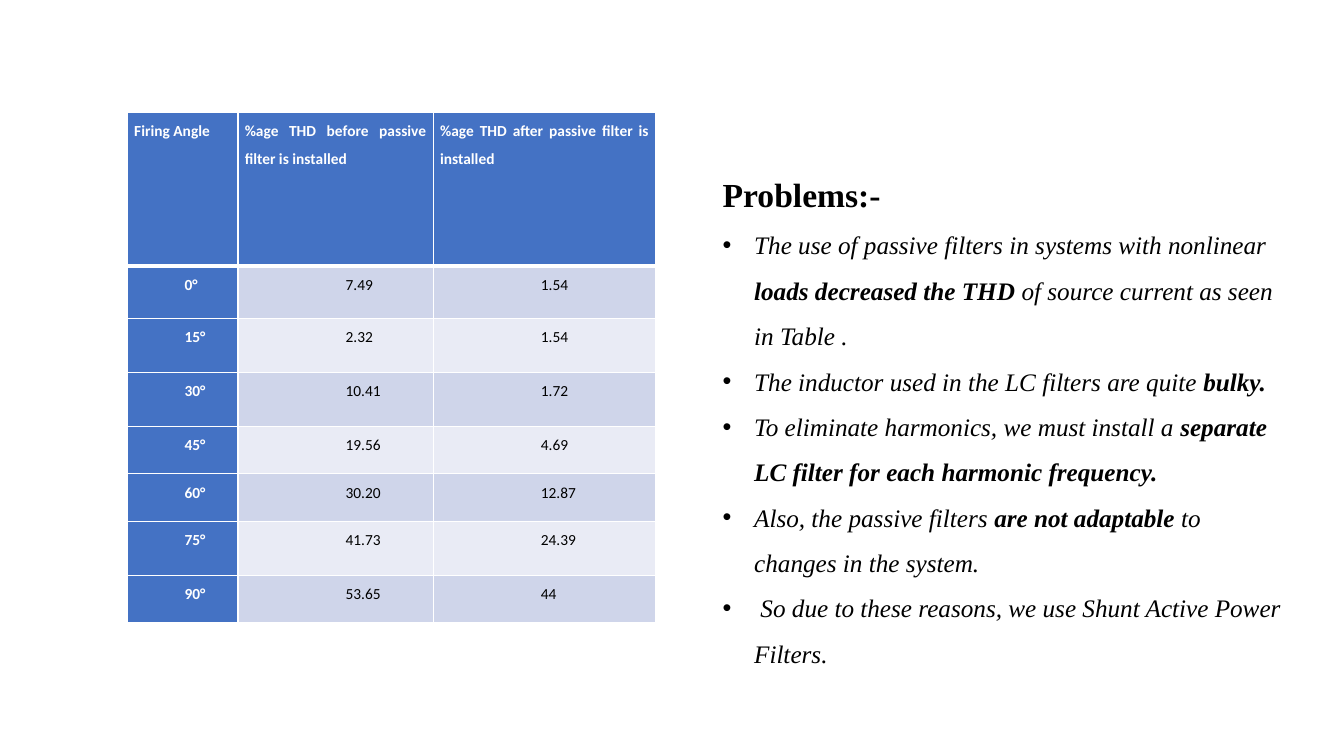
import pptx
import pptx.dml.color
import pptx.enum.text
import pptx.oxml
import pptx.oxml.ns
import pptx.util

Pt = pptx.util.Pt
RGBColor = pptx.dml.color.RGBColor
PP_ALIGN = pptx.enum.text.PP_ALIGN

WHITE = RGBColor(0xFF, 0xFF, 0xFF)
BLACK = RGBColor(0, 0, 0)
BLUE = RGBColor(0x44, 0x72, 0xC4)
BANDS = (RGBColor(0xCF, 0xD5, 0xEA), RGBColor(0xE9, 0xEB, 0xF5))

COLUMN_WIDTHS = (79, 139.5, 159)
ROW_HEIGHTS = (110, 37.5, 38.5, 38.5, 34, 34, 38.5, 34)
THD_ROWS = (
    ("Firing Angle", "%age THD before passive filter is installed",
     "%age THD after passive filter is installed"),
    ("0°", "7.49", "1.54"),
    ("15°", "2.32", "1.54"),
    ("30°", "10.41", "1.72"),
    ("45°", "19.56", "4.69"),
    ("60°", "30.20", "12.87"),
    ("75°", "41.73", "24.39"),
    ("90°", "53.65", "44"),
)
PROBLEMS = (
    (("The use of passive filters in systems with nonlinear ", False),
     ("loads decreased the THD ", True),
     ("of source current as seen in Table .", False)),
    (("The inductor used in the LC filters are quite ", False),
     ("bulky.", True)),
    (("To eliminate harmonics, we must install a ", False),
     ("separate LC filter for each harmonic frequency.", True)),
    (("Also, the passive filters ", False),
     ("are not adaptable", True),
     (" to changes in the system.", False)),
    ((" So due to these reasons, we use Shunt Active Power Filters.", False),),
)


def add_run(paragraph, text, font_name, size, color, bold, italic=False):
    run = paragraph.add_run()
    run.text = text
    run.font.name = font_name
    run.font.size = Pt(size)
    run.font.color.rgb = color
    run.font.bold = bold
    run.font.italic = italic


def set_indent(paragraph, left, first=0):
    properties = paragraph._p.get_or_add_pPr()
    properties.set("marL", str(Pt(left)))
    properties.set("indent", str(Pt(first)))
    return properties


def set_bullet(properties, symbol=None):
    tag = f'a:buChar char="{symbol}"' if symbol else "a:buNone"
    namespace = pptx.oxml.ns.nsdecls("a")
    properties.append(pptx.oxml.parse_xml(f"<{tag} {namespace}/>"))


def add_border(cell, side, width):
    namespace = pptx.oxml.ns.nsdecls("a")
    cell._tc.get_or_add_tcPr().append(pptx.oxml.parse_xml(
        f'<a:ln{side} {namespace} w="{Pt(width)}"><a:solidFill>'
        f'<a:srgbClr val="{WHITE}"/></a:solidFill></a:ln{side}>'))


def fill_cell(cell, text, row, column):
    heading = row == 0 or column == 0
    widths = {"L": 1, "R": 1, "T": 3 if row == 1 else 1, "B": 3 if row == 0 else 1}
    for side, width in widths.items():
        add_border(cell, side, width)
    cell.fill.solid()
    cell.fill.fore_color.rgb = BLUE if heading else BANDS[(row - 1) % 2]
    cell.margin_left = cell.margin_right = Pt(4.9)
    cell.margin_top = cell.margin_bottom = 0
    paragraph = cell.text_frame.paragraphs[0]
    paragraph.alignment = PP_ALIGN.JUSTIFY
    paragraph.line_spacing = 1.5
    paragraph.space_after = Pt(8)
    if row:
        set_indent(paragraph, 72 if column else 36)
    add_run(paragraph, text, "Calibri", 11, WHITE if heading else BLACK, heading)


def add_thd_table(slide):
    thd_table = slide.shapes.add_table(
        len(THD_ROWS), len(COLUMN_WIDTHS), Pt(91), Pt(80),
        Pt(sum(COLUMN_WIDTHS)), Pt(sum(ROW_HEIGHTS))).table
    for column, width in zip(thd_table.columns, COLUMN_WIDTHS):
        column.width = Pt(width)
    for row, height in zip(thd_table.rows, ROW_HEIGHTS):
        row.height = Pt(height)
    for row, texts in enumerate(THD_ROWS):
        for column, text in enumerate(texts):
            fill_cell(thd_table.cell(row, column), text, row, column)


def format_line(paragraph):
    paragraph.alignment = PP_ALIGN.LEFT
    paragraph.line_spacing = 1.5
    paragraph.space_before = paragraph.space_after = Pt(0)


def write_problems(body):
    body.left, body.top = Pt(509), Pt(106.5)
    body.width, body.height = Pt(419), Pt(399.5)
    frame = body.text_frame
    frame.word_wrap = True
    frame.auto_size = pptx.enum.text.MSO_AUTO_SIZE.SHAPE_TO_FIT_TEXT
    frame.vertical_anchor = pptx.enum.text.MSO_ANCHOR.TOP
    heading = frame.paragraphs[0]
    format_line(heading)
    set_bullet(set_indent(heading, 0))
    add_run(heading, "Problems:-", "Times New Roman", 24, BLACK, True)
    for problem in PROBLEMS:
        item = frame.add_paragraph()
        format_line(item)
        set_bullet(set_indent(item, 22.5, -22.5), "•")
        for text, bold in problem:
            add_run(item, text, "Times New Roman", 18, BLACK, bold, True)


def main():
    presentation = pptx.Presentation()
    presentation.slide_width = Pt(960)
    presentation.slide_height = Pt(540)
    slide = presentation.slides.add_slide(presentation.slide_layouts[1])
    empty_title = slide.shapes.title.element
    empty_title.getparent().remove(empty_title)
    add_thd_table(slide)
    write_problems(slide.placeholders[1])
    presentation.save("out.pptx")


if __name__ == "__main__":
    main()
